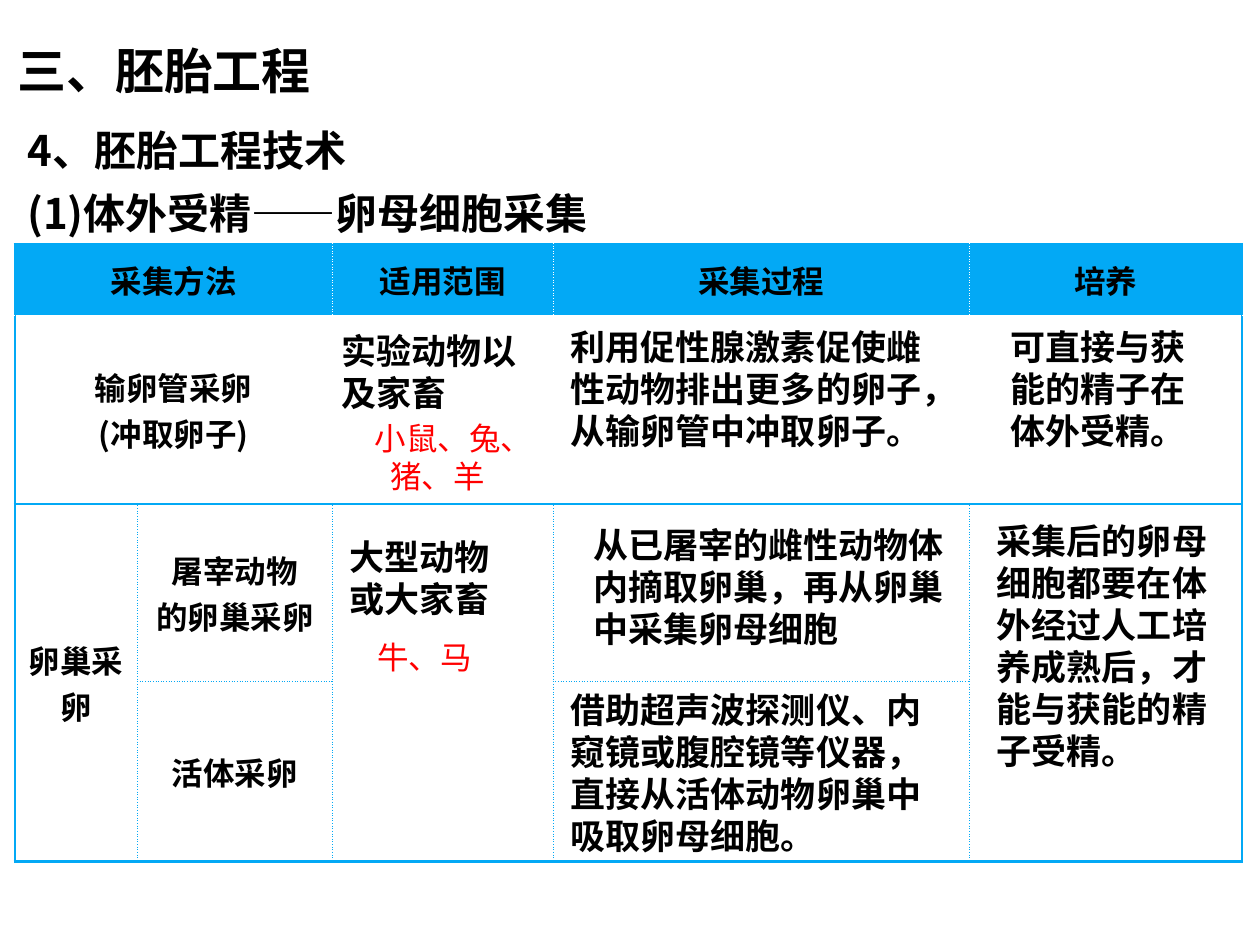
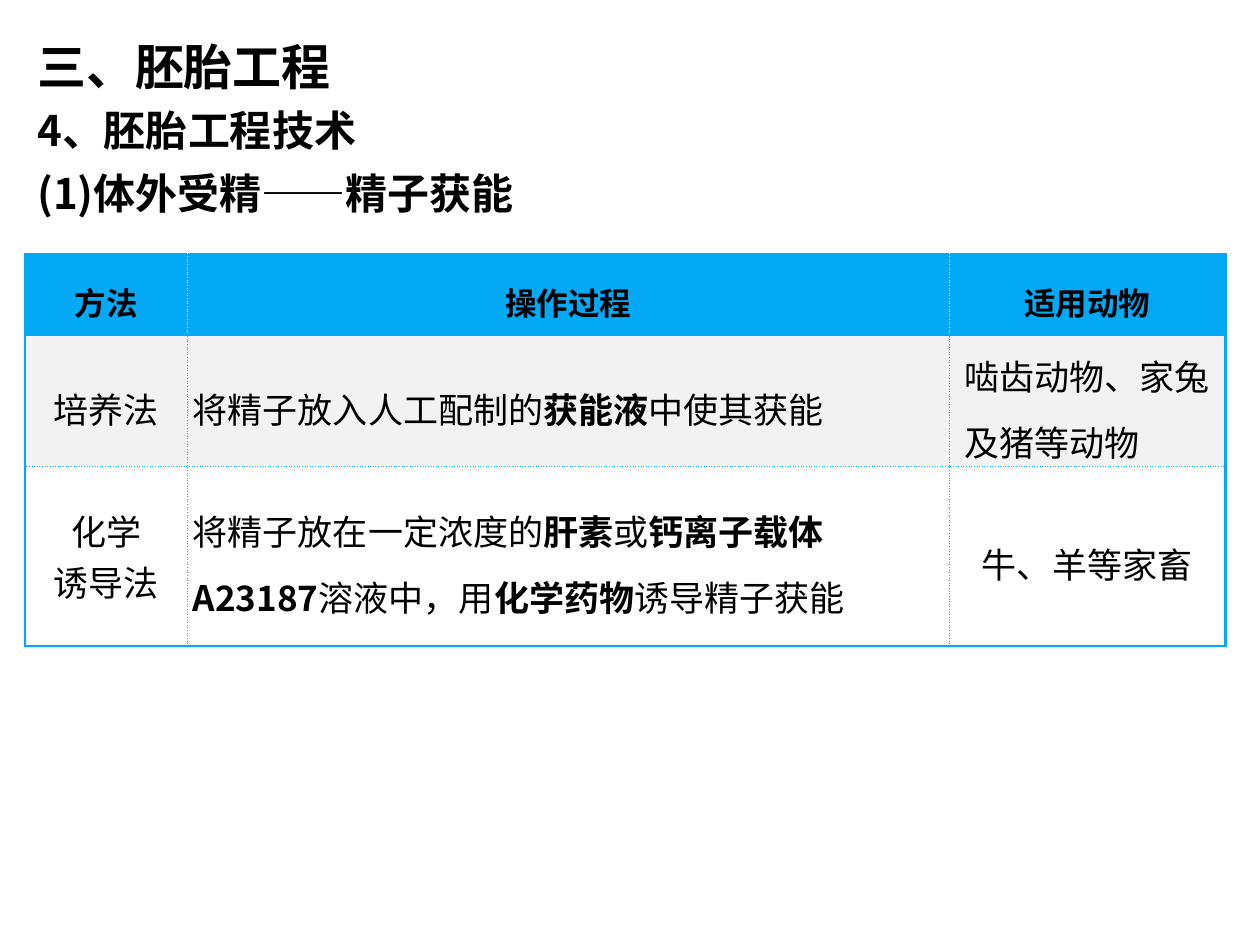
from collections import namedtuple

from lxml import etree
from pptx import Presentation
from pptx.dml.color import RGBColor
from pptx.enum.text import MSO_ANCHOR, PP_ALIGN
from pptx.oxml.ns import qn
from pptx.util import Pt

LEFT = PP_ALIGN.LEFT
MID = PP_ALIGN.CENTER
CENTER = MSO_ANCHOR.MIDDLE
NO_STYLE = "{2D5ABB26-0587-4C30-8999-92F81FD0307C}"


class Theme:
    font = "Noto Sans CJK SC"
    blue = "03A9F5"
    white = "FFFFFF"
    grey = "F2F2F2"
    black = "000000"
    red = "FF0000"
    title = 28
    head = 24
    body = 20
    label = 18
    solid = 1.5
    fine = 0.25


Box = namedtuple("Box", "x y w h")
Look = namedtuple("Look", "size bold color align space indent",
                  defaults=(Theme.black, LEFT, 1, 0))
Cell = namedtuple("Cell", "row col text look fill down wide",
                  defaults=(Theme.white, 1, 1))

TITLE = Look(Theme.title, True, space=1.25)
HEAD = Look(Theme.head, True, space=1.25)
LABEL = Look(Theme.label, True, align=MID)
NOTE = Look(Theme.body, True, indent=6)
SAMPLE = Look(Theme.label, False, Theme.red, MID)
WIDE = LABEL._replace(space=1.3)
PLAIN = Look(Theme.body, False, space=1.3)
PLAIN_MID = PLAIN._replace(align=MID)


def write(frame, text, look):
    frame.text = text.replace("*", "")
    for para, line in zip(frame.paragraphs, text.split("\n")):
        if "*" in line:
            para.text = ""
        para.alignment = look.align
        para.line_spacing = look.space
        if look.indent:
            props = para._p.get_or_add_pPr()
            props.set("marL", str(Pt(look.indent)))
            props.set("indent", "0")
        if "*" in line:
            for part in line.split("*"):
                if part:
                    para.add_run().text = part
        strong = [look.bold != bool(i % 2)
                  for i, part in enumerate(line.split("*")) if part]
        for run, bold in zip(para.runs, strong):
            font = run.font
            font.name = Theme.font
            font.size = Pt(look.size)
            font.bold = bold
            font.color.rgb = RGBColor.from_string(look.color)
            east = etree.SubElement(run._r.get_or_add_rPr(), qn("a:ea"))
            east.set("typeface", Theme.font)


def add_text(slide, box, text, look):
    frame = slide.shapes.add_textbox(*map(Pt, box)).text_frame
    frame.word_wrap = True
    write(frame, text, look)


def add_heads(slide, title_box, sub_box, topic):
    add_text(slide, title_box, "三、胚胎工程", TITLE)
    add_text(slide, sub_box, f"4、胚胎工程技术\n(1)体外受精——{topic}", HEAD)


def add_edge(cell, side, strong, color):
    props = cell._tc.get_or_add_tcPr()
    width = Theme.solid if strong else Theme.fine
    line = etree.SubElement(props, qn(f"a:ln{side}"), w=str(Pt(width)))
    fill = etree.SubElement(line, qn("a:solidFill"))
    etree.SubElement(fill, qn("a:srgbClr"), val=color)
    dash = "solid" if strong else "sysDot"
    etree.SubElement(line, qn("a:prstDash"), val=dash)


def add_edges(table, item, rules, pale):
    last = len(table.columns)
    bottom, right = item.row + item.down, item.col + item.wide
    for row in range(item.row, bottom):
        for col in range(item.col, right):
            cell = table.cell(row, col)
            first = (row, col) == (item.row, item.col)
            sides = (
                ("L", item.col, col == item.col, (0, last), row),
                ("R", right, col + 1 == right, (0, last), row),
                ("T", item.row, row == item.row, rules, item.row),
                ("B", bottom, row + 1 == bottom, rules, bottom),
            )
            for side, edge, outer, heavy, level in sides:
                if first or outer:
                    strong = edge in heavy
                    light = not strong and level < pale
                    add_edge(cell, side, strong,
                             Theme.white if light else Theme.blue)


def add_grid(slide, box, cols, rows, cells, rules, pale, inset):
    table = slide.shapes.add_table(len(rows), len(cols), *map(Pt, box)).table
    table._tbl.tblPr.find(qn("a:tableStyleId")).text = NO_STYLE
    for col, width in zip(table.columns, cols):
        col.width = Pt(width)
    for row, height in zip(table.rows, rows):
        row.height = Pt(height)
    for item in cells:
        cell = table.cell(item.row, item.col)
        if item.down * item.wide > 1:
            cell.merge(table.cell(item.row + item.down - 1,
                                  item.col + item.wide - 1))
        cell.margin_left = cell.margin_right = Pt(inset[0])
        cell.margin_top = cell.margin_bottom = Pt(inset[1])
        cell.vertical_anchor = CENTER
        if item.text:
            write(cell.text_frame, item.text, item.look)
        add_edges(table, item, rules, pale)
        cell.fill.solid()
        cell.fill.fore_color.rgb = RGBColor.from_string(item.fill)


def add_egg(slide, box):
    cols = (70, 111.5, 126, 237.8, 156)
    rows = (40.5, 108, 101.5, 102.8)
    cells = [Cell(0, 0, "采集方法", LABEL, Theme.blue, wide=2)]
    cells += [Cell(0, col, text, LABEL, Theme.blue)
              for col, text in enumerate(("适用范围", "采集过程", "培养"), 2)]
    cells += [Cell(1, 0, "输卵管采卵\n(冲取卵子)", LABEL, wide=2)]
    cells += [Cell(1, col, "", LABEL) for col in (2, 3, 4)]
    cells += [
        Cell(2, 0, "卵巢采卵", LABEL, down=2),
        Cell(2, 1, "屠宰动物\n的卵巢采卵", LABEL),
        Cell(3, 1, "活体采卵", LABEL),
        Cell(2, 2, "", LABEL, down=2),
        Cell(2, 3, "", LABEL),
        Cell(3, 3, "", LABEL),
        Cell(2, 4, "", LABEL, down=2),
    ]
    add_grid(slide, box, cols, rows, cells, (0, 2, 4), 2, (5, 3))
    notes = (
        (173.5, 45.5, 138, 55, "实验动物以及家畜", NOTE),
        (178, 163, 130, 55, "大型动物\n或大家畜", NOTE),
        (192.5, 96.5, 98, 51, "小鼠、兔、猪、羊", SAMPLE),
        (192.5, 221.5, 83, 29, "牛、马", SAMPLE),
        (304.5, 43, 237, 111,
         "利用促性腺激素促使雌性动物排出更多的卵子，从输卵管中冲取卵子。", NOTE),
        (317.5, 156, 222, 80,
         "从已屠宰的雌性动物体内摘取卵巢，再从卵巢中采集卵母细胞", NOTE),
        (304.5, 250.5, 234, 104,
         "借助超声波探测仪、内窥镜或腹腔镜等仪器，直接从活体动物卵巢中吸取卵母细胞。", NOTE),
        (556, 43, 130, 80, "可直接与获能的精子在体外受精。", NOTE),
        (548, 154, 157, 153,
         "采集后的卵母细胞都要在体外经过人工培养成熟后，才能与获能的精子受精。", NOTE),
    )
    for x, y, w, h, text, look in notes:
        add_text(slide, Box(box.x + x, box.y + y, w, h), text, look)


def add_sperm(slide, box):
    cols = (93, 435, 158.2)
    rows = (45.7, 75, 103)
    cells = [Cell(0, col, text, WIDE, Theme.blue)
             for col, text in enumerate(("方法", "操作过程", "适用动物"))]
    cells += [
        Cell(1, 0, "培养法", PLAIN_MID, Theme.grey),
        Cell(1, 1, "将精子放入人工配制的*获能液*中使其获能", PLAIN, Theme.grey),
        Cell(1, 2, "啮齿动物、家兔及猪等动物", PLAIN._replace(indent=6), Theme.grey),
        Cell(2, 0, "化学\n诱导法", PLAIN_MID._replace(space=1)),
        Cell(2, 1, "将精子放在一定浓度的*肝素*或*钙离子载体A23187*"
                   "溶液中，用*化学药物*诱导精子获能", PLAIN),
        Cell(2, 2, "牛、羊等家畜", PLAIN_MID),
    ]
    add_grid(slide, box, cols, rows, cells, (0, 1, 3), 1, (3, 0))


def main():
    deck = Presentation()
    deck.slide_width, deck.slide_height = Pt(720), Pt(540)
    blank = deck.slide_layouts[6]

    slide = deck.slides.add_slide(blank)
    add_egg(slide, Box(8.5, 139.5, 701.3, 352.8))
    add_heads(slide, Box(2.8, 11, 360, 50), Box(8.5, 60.5, 360, 116), "卵母细胞采集")

    slide = deck.slides.add_slide(blank)
    add_sperm(slide, Box(14.2, 145.5, 686.2, 223.7))
    add_heads(slide, Box(14.2, 9, 360, 50), Box(14.2, 49, 360, 80), "精子获能")

    deck.save("out.pptx")


if __name__ == "__main__":
    main()
